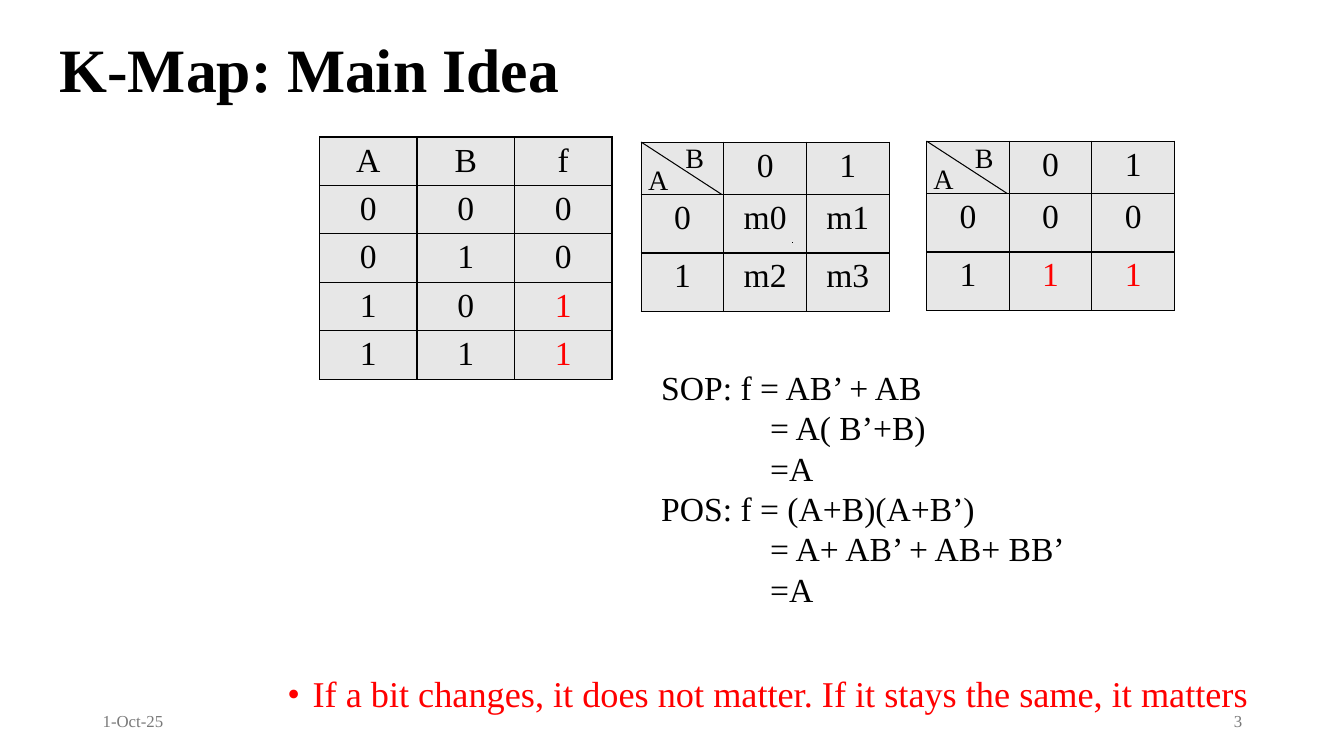
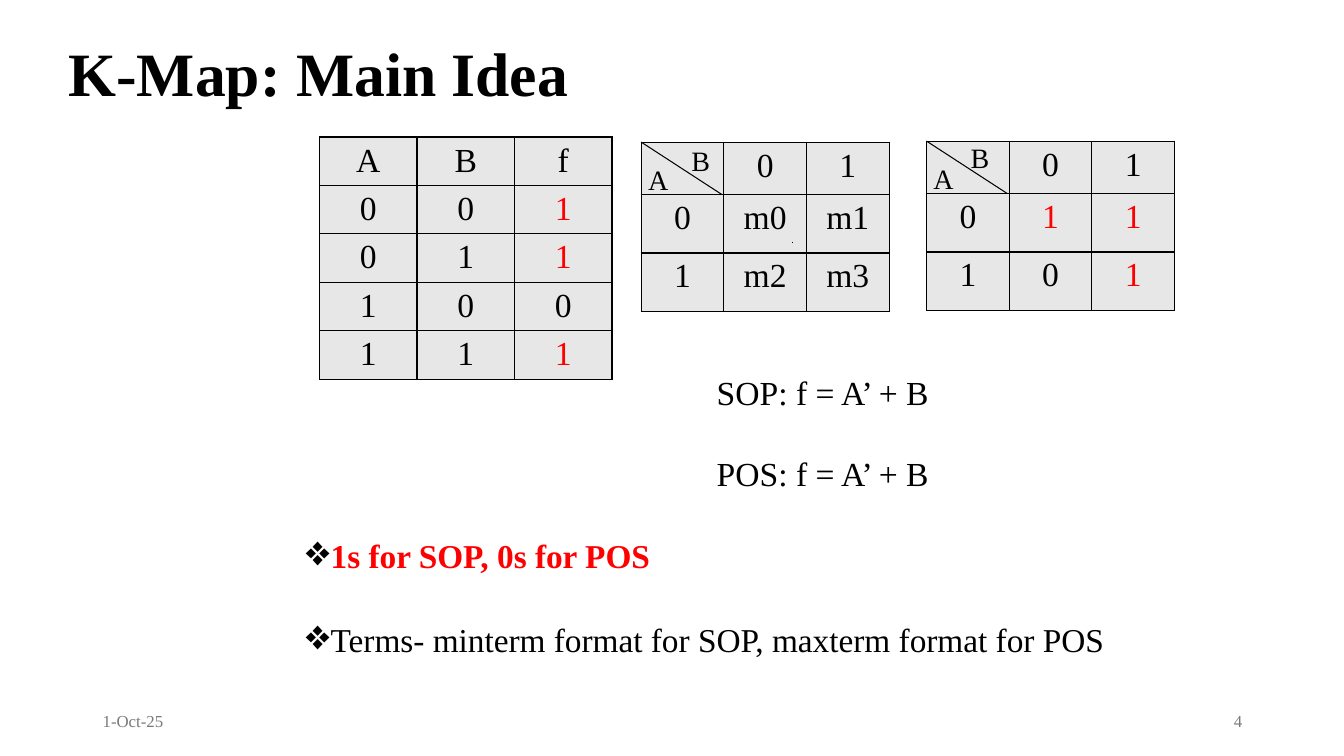
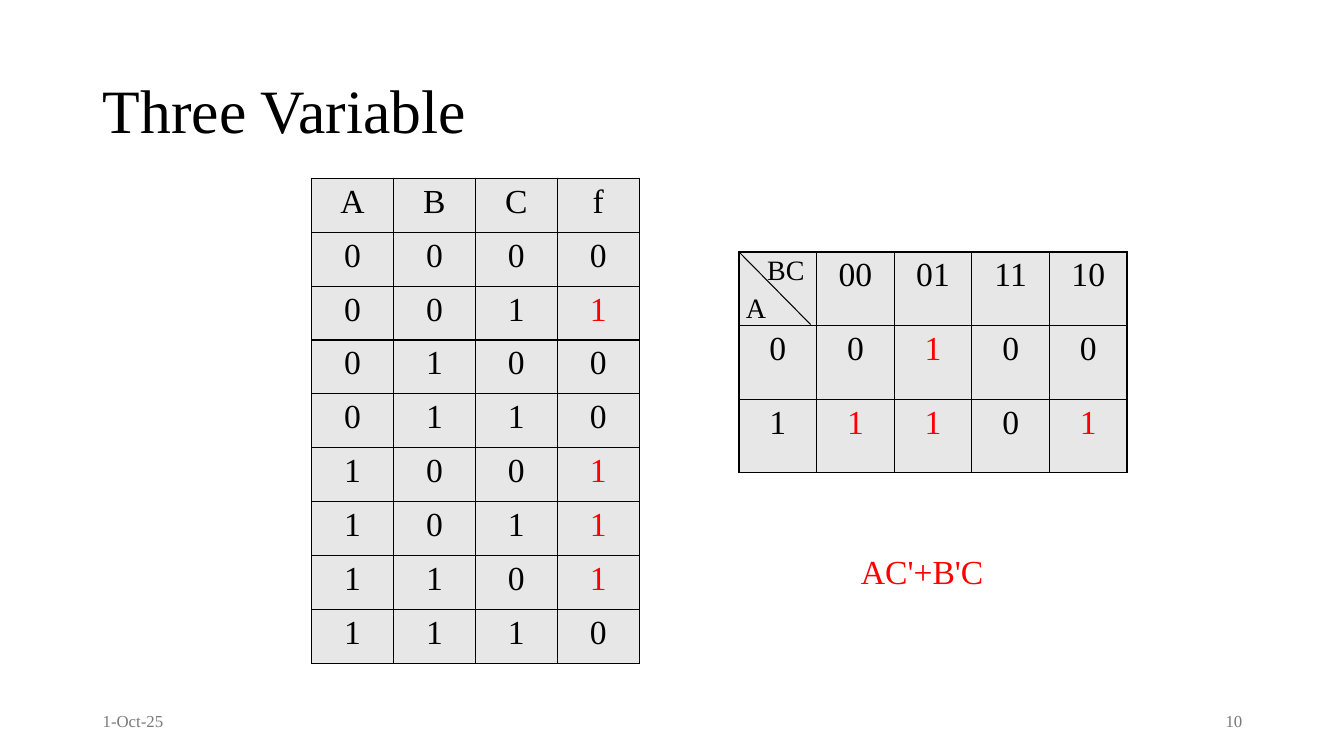
import itertools
from dataclasses import dataclass

import pptx
import pptx.dml.color
import pptx.enum.shapes
import pptx.enum.text
import pptx.util
from lxml import etree
from pptx.oxml.ns import qn

Inches = pptx.util.Inches
Align = pptx.enum.text.PP_ALIGN
Anchor = pptx.enum.text.MSO_ANCHOR


@dataclass(frozen=True)
class Theme:
    font: str = "Times New Roman"
    ink: str = "000000"
    accent: str = "FF0000"
    muted: str = "797979"
    cell: str = "E7E7E7"
    title_size: float = 44
    text_size: float = 24
    label_size: float = 20
    footer_size: float = 12
    grid_width: float = 1
    line_width: float = 0.75


THEME = Theme()
TITLE_AND_BODY, TITLE_ONLY = 1, 5
DATE = "1-Oct-25"
TRUTH_BOX = (3.17, 1.36, 2.9, 2.33)
MINTERM_CORNER = (6.36, 1.41)
VALUE_CORNER = (9.19, 1.4)


def rgb(color):
    return pptx.dml.color.RGBColor.from_string(color)


def add_span(para, text, size, color=THEME.ink, bold=False):
    span = para.add_run()
    span.text = text
    span.font.name = THEME.font
    span.font.size = pptx.util.Pt(size)
    span.font.color.rgb = rgb(color)
    span.font.bold = bold


def place(shape, box):
    shape.left, shape.top, shape.width, shape.height = map(Inches, box)


def add_text(page, box, text, size=THEME.text_size, color=THEME.ink,
             align=Align.LEFT, anchor=Anchor.TOP):
    frame = page.shapes.add_textbox(*map(Inches, box)).text_frame
    frame.word_wrap = True
    frame.vertical_anchor = anchor
    para = frame.paragraphs[0]
    para.alignment = align
    add_span(para, text, size, color)
    return frame


def add_line(page, start, end):
    line = page.shapes.add_connector(
        pptx.enum.shapes.MSO_CONNECTOR.STRAIGHT, *map(Inches, start + end))
    line.line.color.rgb = rgb(THEME.ink)
    line.line.width = pptx.util.Pt(THEME.line_width)
    etree.SubElement(line.element.spPr, qn("a:effectLst"))


def add_page(deck, layout, title, title_box, number, bold=True):
    page = deck.slides.add_slide(deck.slide_layouts[layout])
    heading = page.shapes.title
    place(heading, title_box)
    frame = heading.text_frame
    frame.vertical_anchor = Anchor.MIDDLE
    para = frame.paragraphs[0]
    para.alignment = Align.LEFT
    para.line_spacing = 0.9
    add_span(para, title, THEME.title_size, bold=bold)
    for left, text, align in ((0.92, DATE, Align.LEFT),
                              (9.42, str(number), Align.RIGHT)):
        add_text(page, (left, 6.95, 3, 0.4), text, THEME.footer_size,
                 THEME.muted, align, Anchor.MIDDLE)
    return page


def set_bullet(para, mark, color, indent):
    properties = para._p.get_or_add_pPr()
    properties.set("marL", str(Inches(indent)))
    properties.set("indent", str(-Inches(indent)))
    tint = etree.SubElement(properties, qn("a:buClr"))
    etree.SubElement(tint, qn("a:srgbClr"), val=color)
    etree.SubElement(properties, qn("a:buFont"), typeface=THEME.font)
    etree.SubElement(properties, qn("a:buChar"), char=mark)


def fill_body(page, box, items, mark, mark_color, size, line_spacing,
              indent=0.25, gap=0):
    """Set the notes, given as (text, color, bold), at the foot of the body."""
    body = page.placeholders[1]
    place(body, box)
    frame = body.text_frame
    frame.auto_size = pptx.enum.text.MSO_AUTO_SIZE.NONE
    frame.vertical_anchor = Anchor.BOTTOM
    for index, (text, color, bold) in enumerate(items):
        para = frame.add_paragraph() if index else frame.paragraphs[0]
        para.line_spacing = line_spacing
        para.space_before = pptx.util.Pt(gap if index else 0)
        set_bullet(para, mark, mark_color, indent)
        add_span(para, text, size, color, bold)


def style_cell(cell, text, color):
    cell.fill.solid()
    cell.fill.fore_color.rgb = rgb(THEME.cell)
    cell.margin_bottom = Inches(0.03)
    properties = cell._tc.get_or_add_tcPr()
    for index, side in enumerate(("lnL", "lnR", "lnT", "lnB")):
        border = etree.Element(qn("a:" + side),
                               w=str(pptx.util.Pt(THEME.grid_width)))
        paint = etree.SubElement(border, qn("a:solidFill"))
        etree.SubElement(paint, qn("a:srgbClr"), val=THEME.ink)
        properties.insert(index, border)
    if text:
        para = cell.text_frame.paragraphs[0]
        para.alignment = Align.CENTER
        add_span(para, text, THEME.text_size, color)


def add_grid(page, box, rows, first_value_column, row_heights):
    """Draw a table; each 1 below the header in a value column is accented."""
    table = page.shapes.add_table(
        len(rows), len(rows[0]), *map(Inches, box)).table
    table.first_row = table.horz_banding = False
    for column in table.columns:
        column.width = Inches(box[2] / len(rows[0]))
    for row, height in zip(table.rows, row_heights):
        row.height = Inches(height)
    for r, row in enumerate(rows):
        for c, text in enumerate(row):
            is_one = r > 0 and c >= first_value_column and text == "1"
            style_cell(table.cell(r, c), text,
                       THEME.accent if is_one else THEME.ink)


def add_truth_table(page, box, variables, outputs):
    inputs = itertools.product("01", repeat=len(variables))
    rows = [[*variables, "f"]]
    rows += [[*bits, output] for bits, output in zip(inputs, outputs)]
    add_grid(page, box, rows, len(variables), [box[3] / len(rows)] * len(rows))


def add_karnaugh_map(page, corner, width, row_heights, values, column_codes,
                     column_name, column_offset, row_offset, diagonal):
    """Draw a map of values in minterm order; offsets start at the corner."""
    rows = [["", *column_codes]]
    for a in "01":
        rows.append([a, *(values[int(a + code, 2)] for code in column_codes)])
    left, top = corner
    add_grid(page, (left, top, width, sum(row_heights)), rows, 1, row_heights)
    add_line(page, corner, (left + diagonal[0], top + diagonal[1]))
    for name, (x, y) in (("A", row_offset), (column_name, column_offset)):
        add_text(page, (left + x, top + y, 0.9, 0.44), name, THEME.label_size)


def add_two_variable_map(page, corner, values, column_offset):
    add_karnaugh_map(page, corner, 2.46, (0.52, 0.58, 0.58), values,
                     ("0", "1"), "B", column_offset, (-0.03, 0.15),
                     (0.8, 0.52))


def add_two_variable_tables(page, outputs, minterm_offset, value_offset):
    add_truth_table(page, TRUTH_BOX, "AB", outputs)
    minterms = [f"m{index}" for index in range(4)]
    add_two_variable_map(page, MINTERM_CORNER, minterms, minterm_offset)
    add_line(page, (7.86, 2.41), (7.86, 2.4))
    add_two_variable_map(page, VALUE_CORNER, outputs, value_offset)


def add_derivations(page, box, derivations, gap=0):
    """Write each derivation with its later steps indented under the first."""
    frame = page.shapes.add_textbox(*map(Inches, box)).text_frame
    frame.word_wrap = True
    first = True
    for derivation in derivations:
        for step, text in enumerate(derivation):
            para = frame.paragraphs[0] if first else frame.add_paragraph()
            para.line_spacing = pptx.util.Pt(28.8)
            if step:
                para._p.get_or_add_pPr().set("marL", str(Inches(1.08)))
            elif not first:
                para.space_before = pptx.util.Pt(gap)
            add_span(para, text, THEME.text_size)
            first = False


def build_main_idea(deck):
    page = add_page(deck, TITLE_AND_BODY, "K-Map: Main Idea",
                    (0.49, -0.01, 11.5, 1.45), 3)
    fill_body(page, (2.75, 0.81, 10.07, 6.34),
              [("If a bit changes, it does not matter. "
                "If it stays the same, it matters", THEME.accent, False)],
              "•", THEME.accent, 25.9, 0.9)
    add_two_variable_tables(page, "0011", (0.34, -0.07), (0.38, -0.06))
    add_derivations(page, (6.46, 3.59, 5.41, 2.52), [
        ("SOP: f = AB’ + AB", "= A( B’+B)", "=A"),
        ("POS: f = (A+B)(A+B’)", "= A+ AB’ + AB+ BB’", "=A")])


def build_sop_and_pos(deck):
    page = add_page(deck, TITLE_AND_BODY, "K-Map: Main Idea",
                    (0.58, 0.03, 11.5, 1.45), 4)
    fill_body(page, (2.92, 1.08, 8.75, 5.5), [
        ("1s for SOP, 0s for POS", THEME.accent, True),
        ("Terms- minterm format for SOP, maxterm format for POS",
         THEME.ink, False)],
        "❖", THEME.ink, 23.8, 0.7, indent=0.26, gap=40)
    add_two_variable_tables(page, "1101", (0.4, -0.04), (0.34, -0.06))
    add_derivations(page, (7.01, 3.64, 4.11, 1.31),
                    [("SOP: f = A’ + B",), ("POS: f = A’ + B",)], gap=28.8)


def build_three_variable(deck):
    page = add_page(deck, TITLE_ONLY, "Three Variable",
                    (0.92, 0.4, 11.5, 1.45), 10, bold=False)
    outputs = "01001110"
    add_truth_table(page, (3.09, 1.77, 3.25, 4.81), "ABC", outputs)
    add_karnaugh_map(page, (7.33, 2.5), 3.85, [0.73] * 3, outputs,
                     ("00", "01", "11", "10"), "BC", (0.18, -0.04),
                     (-0.03, 0.33), (0.71, 0.72))
    add_text(page, (8.44, 5.42, 4, 0.5), "AC'+B'C", color=THEME.accent)


def main():
    deck = pptx.Presentation()
    deck.slide_width, deck.slide_height = Inches(13.33), Inches(7.5)
    build_main_idea(deck)
    build_sop_and_pos(deck)
    build_three_variable(deck)
    deck.save("out.pptx")


if __name__ == "__main__":
    main()
